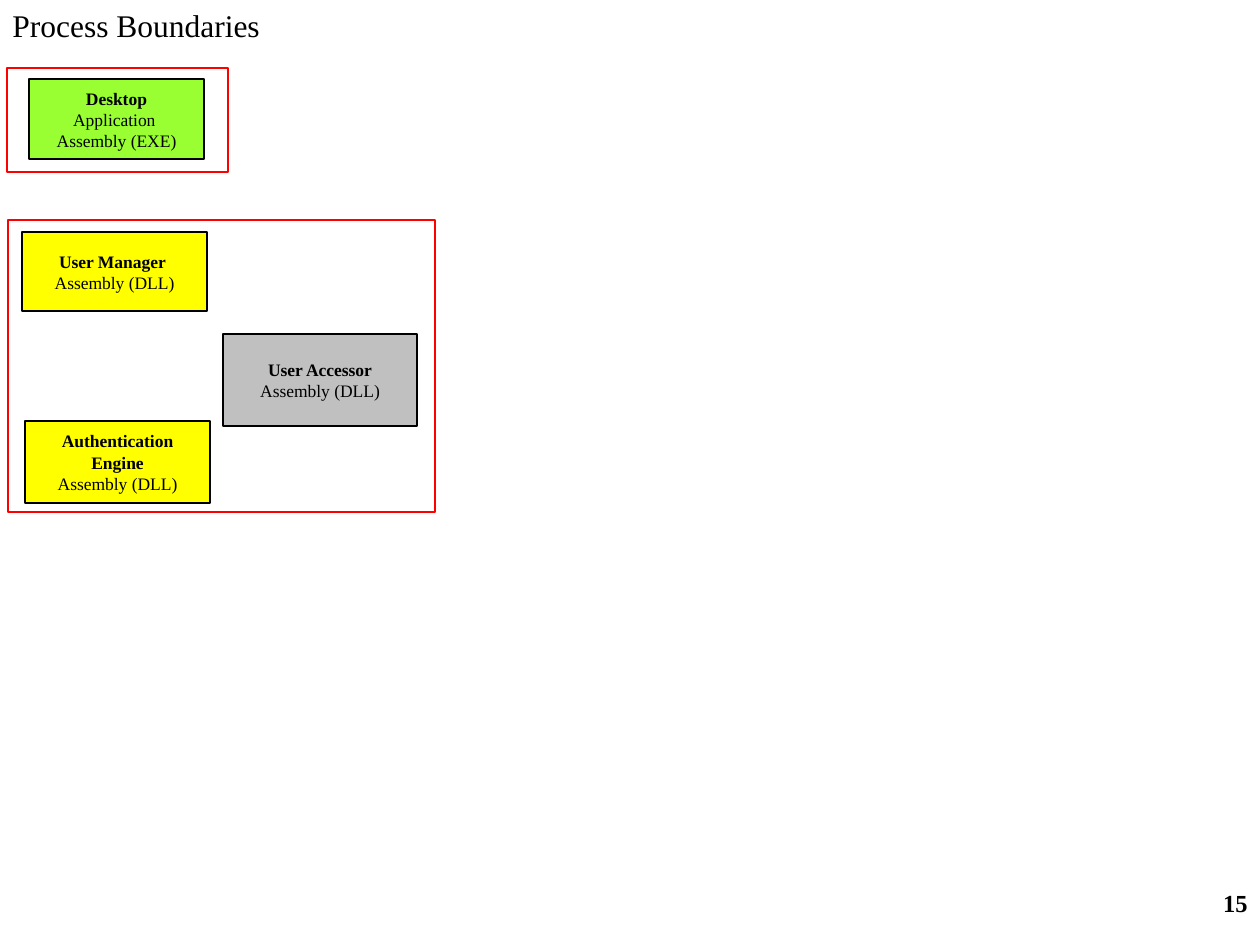
from pptx import Presentation
from pptx.dml.color import RGBColor
from pptx.enum.shapes import MSO_SHAPE as Shape
from pptx.enum.text import MSO_ANCHOR as Anchor, PP_ALIGN as Align
from pptx.util import Pt

PX = 914400 / 126
COLORS = {
    "black": "000000",
    "boundary": "FF0000",
    "client": "99FF33",
    "logic": "FFFF00",
    "access": "C0C0C0",
}


def color(name):
    return RGBColor.from_string(COLORS[name])


def write(frame, paragraphs, size=10, align=Align.CENTER, anchor=Anchor.MIDDLE, wrap=False):
    """Fill a text frame; each paragraph is a list of (line, bold) pairs."""
    frame.word_wrap = wrap
    frame.vertical_anchor = anchor
    for index, lines in enumerate(paragraphs):
        paragraph = frame.paragraphs[0] if index == 0 else frame.add_paragraph()
        paragraph.alignment = align
        for number, (line, bold) in enumerate(lines):
            if number:
                paragraph.add_line_break()
            run = paragraph.add_run()
            run.text = line
            run.font.name = "Times New Roman"
            run.font.size = Pt(size)
            run.font.bold = bold
            run.font.color.rgb = color("black")


prs = Presentation()
prs.slide_width, prs.slide_height = round(1260 * PX), round(945 * PX)
slide = prs.slides.add_slide(prs.slide_layouts[6])
shapes = slide.shapes

# Page number and title
labels = [
    ((998, 882, 262, 63), "15", 14, True, Align.RIGHT),
    ((0, 0, 926, 50), "Process Boundaries", 18, False, Align.LEFT),
]
for area, label, size, bold, align in labels:
    textbox = shapes.add_textbox(*(round(v * PX) for v in area))
    write(textbox.text_frame, [[(label, bold)]], size, align, Anchor.TOP, wrap=True)

# Each process: its boundary, then the assemblies that run inside it
dll = ("Assembly (DLL)", False)
processes = [
    ((8, 220, 427, 292), [
        ((25, 421, 185, 82), "logic", [[("Authentication", True)], [("Engine", True), dll]]),
        ((22, 232, 185, 79), "logic", [[("User Manager ", True), dll]]),
        ((223, 334, 194, 92), "access", [[("User Accessor", True), dll]]),
    ]),
    ((7, 68, 221, 104), [
        ((29, 79, 175, 80), "client",
         [[("Desktop", True), ("Application ", False), ("Assembly (EXE)", False)]]),
    ]),
]
for boundary, assemblies in processes:
    for area, fill, paragraphs in [(boundary, None, []), *assemblies]:
        box = shapes.add_shape(Shape.RECTANGLE, *(round(v * PX) for v in area))
        box.shadow.inherit = False
        if fill:
            box.fill.solid()
            box.fill.fore_color.rgb = color(fill)
        else:
            box.fill.background()
        box.line.color.rgb = color("black" if fill else "boundary")
        box.line.width = Pt(0.75 if fill else 1.5)
        write(box.text_frame, paragraphs)

prs.save("out.pptx")
